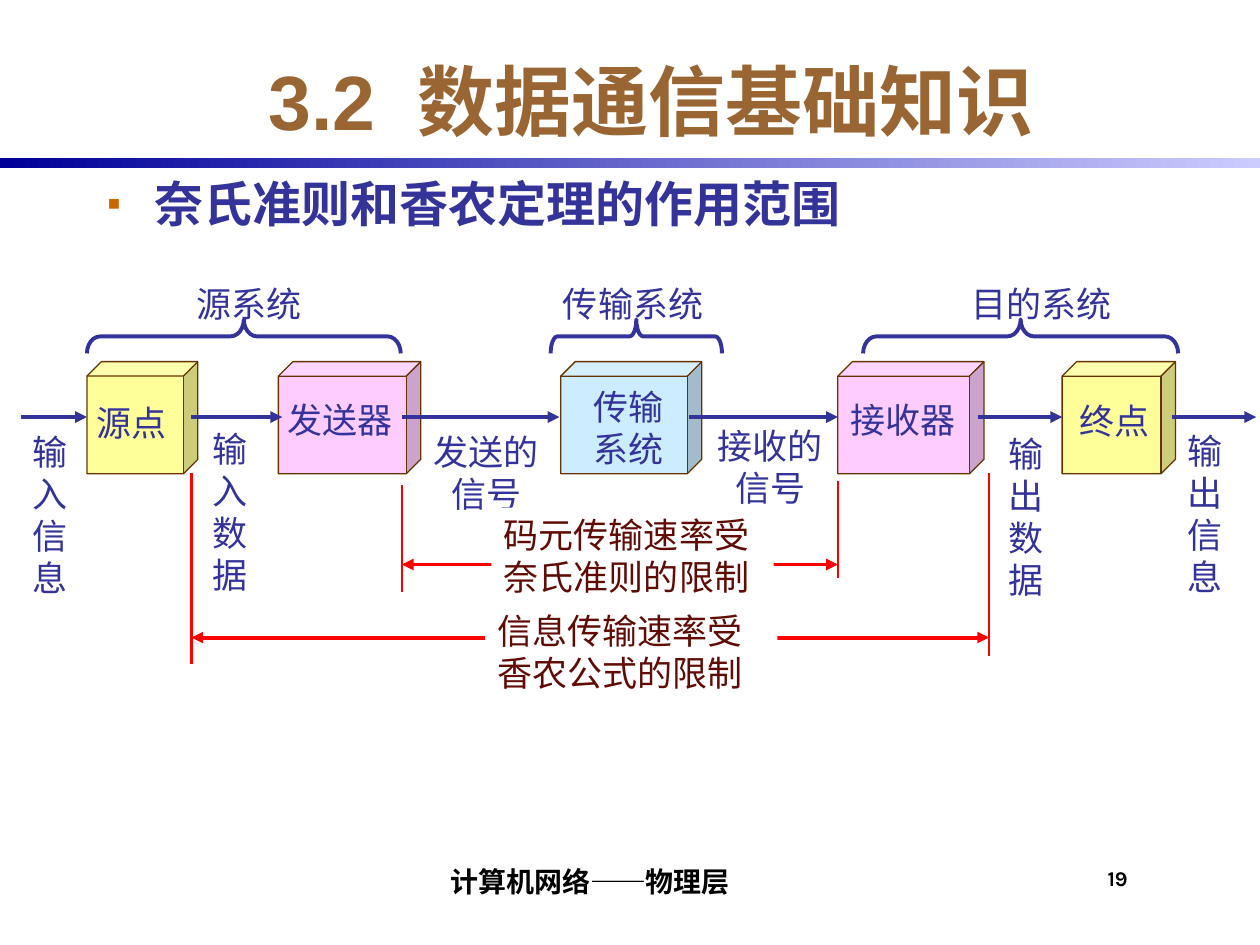
from lxml.etree import SubElement
from pptx import Presentation
from pptx.dml.color import RGBColor
from pptx.enum.shapes import MSO_CONNECTOR, MSO_SHAPE
from pptx.enum.text import MSO_ANCHOR, MSO_AUTO_SIZE, PP_ALIGN
from pptx.oxml.ns import qn
from pptx.util import Inches, Pt

COLORS = {
    "blue": "333399", "navy": "000099", "pale": "CCCCFF", "brown": "996633",
    "orange": "CC6600", "edge": "663300", "yellow": "FFFF99", "pink": "FFCCFF",
    "sky": "CCECFF", "red": "FF0000", "maroon": "600C06", "black": "000000",
    "white": "FFFFFF",
}
CJK_FONT = "Noto Sans CJK SC"
INSETS = (0.1, 0.05, 0.1, 0.05)
FLOW_Y = 3.31


def rgb(name):
    return RGBColor.from_string(COLORS[name])


class SlideBuilder:
    def __init__(self, page):
        self.page = page

    def span(self, para, text, size, color, font=CJK_FONT, bold=False):
        span = para.add_run()
        span.text = text
        span.font.size = Pt(size)
        span.font.bold = bold
        span.font.name = font
        span.font.color.rgb = rgb(color)
        SubElement(span.font._element, qn("a:ea")).set("typeface", CJK_FONT)
        return span

    def frame(self, box, insets=INSETS, anchor=MSO_ANCHOR.TOP):
        frame = box.text_frame
        frame.auto_size = MSO_AUTO_SIZE.NONE
        frame.word_wrap = True
        frame.vertical_anchor = anchor
        (frame.margin_left, frame.margin_top,
         frame.margin_right, frame.margin_bottom) = map(Inches, insets)
        return frame

    def placeholder(self, index, place, anchor):
        box = self.page.placeholders[index]
        box.left, box.top, box.width, box.height = map(Inches, place)
        return self.frame(box, anchor=anchor).paragraphs[0]

    def title(self, number, text):
        para = self.placeholder(0, (0.92, 0.33, 8.5, 0.92), MSO_ANCHOR.MIDDLE)
        para.alignment = PP_ALIGN.CENTER
        self.span(para, number, 44, "brown", "Arial", True)
        gap = self.span(para, " ", 44, "brown", "Arial", True)
        gap.font._element.set("spc", "1200")
        self.span(para, text, 44, "brown", "Arial", True)

    def bullet(self, text):
        para = self.placeholder(1, (0.75, 1.33, 8.5, 5), MSO_ANCHOR.TOP)
        para.space_before = Pt(0)
        props = para._p.get_or_add_pPr()
        props.set("marL", str(Inches(0.38)))
        props.set("indent", str(-Inches(0.38)))
        color = SubElement(props, qn("a:buClr"))
        SubElement(color, qn("a:srgbClr")).set("val", COLORS["orange"])
        SubElement(props, qn("a:buSzPct")).set("val", "80000")
        SubElement(props, qn("a:buChar")).set("char", "▪")
        self.span(para, text, 28, "blue", "Arial", True)

    def label(self, place, *lines, color="blue", align=PP_ALIGN.LEFT, fill=None):
        box = self.page.shapes.add_textbox(*map(Inches, place))
        if fill:
            box.fill.solid()
            box.fill.fore_color.rgb = rgb(fill)
        frame = self.frame(box)
        for i, line in enumerate(lines):
            para = frame.add_paragraph() if i else frame.paragraphs[0]
            para.alignment = align
            para.line_spacing = Pt(24)
            self.span(para, line, 20, color)

    def footer(self, place, text, size, insets, anchor, align):
        box = self.page.shapes.add_textbox(*map(Inches, place))
        para = self.frame(box, insets, anchor).paragraphs[0]
        para.alignment = align
        self.span(para, text, size, "black", "Karla", True)

    def shape(self, kind, place):
        shape = self.page.shapes.add_shape(kind, *map(Inches, place))
        shape.shadow.inherit = False
        return shape

    def gradient_bar(self, place):
        bar = self.shape(MSO_SHAPE.RECTANGLE, place)
        bar.line.fill.background()
        bar.fill.gradient()
        bar.fill.gradient_angle = 0
        for stop, color in zip(bar.fill.gradient_stops, ("navy", "pale")):
            stop.color.rgb = rgb(color)

    def cube(self, left, width, fill):
        cube = self.shape(MSO_SHAPE.CUBE, (left, 2.87, width, 0.89))
        cube.adjustments[0] = 0.13
        cube.fill.solid()
        cube.fill.fore_color.rgb = rgb(fill)
        cube.line.color.rgb = rgb("edge")
        cube.line.width = Pt(0.75)

    def brace(self, left, span, curve):
        """Draw a left brace turned to point up, spanning the given width."""
        depth, middle = 0.27, 2.67
        brace = self.shape(MSO_SHAPE.LEFT_BRACE, (
            left + (span - depth) / 2, middle - span / 2, depth, span))
        brace.rotation = 90
        brace.adjustments[0] = curve
        brace.fill.background()
        brace.line.color.rgb = rgb("blue")
        brace.line.width = Pt(2.25)

    def line(self, start, end, color, width=2.25, arrows=()):
        line = self.page.shapes.add_connector(
            MSO_CONNECTOR.STRAIGHT, *map(Inches, start + end))
        line.line.color.rgb = rgb(color)
        line.line.width = Pt(width)
        for name in arrows:
            SubElement(line.line._get_or_add_ln(), qn(f"a:{name}")).set("type", "triangle")
        SubElement(line._element.spPr, qn("a:effectLst"))

    def limit(self, left, right, y, posts, place, lines):
        """Draw a red range between two posts, with its caption in the middle."""
        for x, (top, bottom) in zip((left, right), posts):
            self.line((x, top), (x, bottom), "red", 1.5)
        self.line((left, y), (right, y), "red", arrows=("headEnd", "tailEnd"))
        self.label(place, *lines, color="maroon", fill="white")


def main():
    deck = Presentation()
    deck.slide_width, deck.slide_height = Inches(10), Inches(7.5)
    builder = SlideBuilder(deck.slides.add_slide(deck.slide_layouts[1]))

    builder.gradient_bar((0, 1.25, 10, 0.08))
    builder.title("3.2", "数据通信基础知识")
    builder.bullet("奈氏准则和香农定理的作用范围")

    for left, span, curve in ((0.69, 2.49, 0.39), (4.37, 1.36, 0.2), (6.85, 2.5, 0.39)):
        builder.brace(left, span, curve)
    for left, width, text in ((1.46, 1.14, "源系统"), (4.37, 1.33, "传输系统"),
                              (7.61, 1.42, "目的系统")):
        builder.label((left, 2.19, width, 0.43), text)

    for left, width, fill in ((0.69, 0.88, "yellow"), (2.21, 1.13, "pink"),
                              (4.45, 1.12, "sky"), (6.65, 1.16, "pink"),
                              (8.43, 0.9, "yellow")):
        builder.cube(left, width, fill)
    for start, end in ((0.17, 0.69), (1.52, 2.24), (3.19, 4.44), (5.47, 6.65),
                       (7.76, 8.43), (9.3, 9.97)):
        builder.line((start, FLOW_Y), (end, FLOW_Y), "blue", arrows=("tailEnd",))

    builder.label((4.61, 3.01, 0.86, 0.76), "传输", "系统")
    for left, top, width, text in ((0.67, 3.14, 0.83, "源点"), (2.18, 3.11, 1.08, "发送器"),
                                   (6.65, 3.11, 1.08, "接收器"), (8.47, 3.12, 0.83, "终点")):
        builder.label((left, top, width, 0.43), text)
    for left, top, text in ((0.16, 3.37, "输入信息"), (1.59, 3.34, "输入数据"),
                            (7.91, 3.38, "输出数据"), (9.33, 3.36, "输出信息")):
        builder.label((left, top, 0.67, 1.43), text)
    for left, top, width, text in ((3.27, 3.37, 1.18, "发送的"), (5.58, 3.32, 1.07, "接收的")):
        builder.label((left, top, width, 0.76), text, "信号", align=PP_ALIGN.CENTER)

    builder.limit(3.19, 6.65, 4.48, ((3.85, 4.7), (3.82, 4.59)),
                  (3.9, 4.03, 2.24, 0.76), ("码元传输速率受", "奈氏准则的限制"))
    builder.limit(1.52, 7.85, 5.06, ((3.75, 5.27), (3.75, 5.21)),
                  (3.85, 4.79, 2.32, 0.76), ("信息传输速率受", "香农公式的限制"))

    builder.footer((2.08, 6.75, 5.17, 0.42), "计算机网络——物理层", 16,
                   (0.04, 0, 0, 0.04), MSO_ANCHOR.BOTTOM, PP_ALIGN.CENTER)
    builder.footer((8.75, 6.83, 0.58, 0.42), "19", 12,
                   (0.04, 0.04, 0, 0), MSO_ANCHOR.TOP, PP_ALIGN.LEFT)
    deck.save("out.pptx")


if __name__ == "__main__":
    main()
